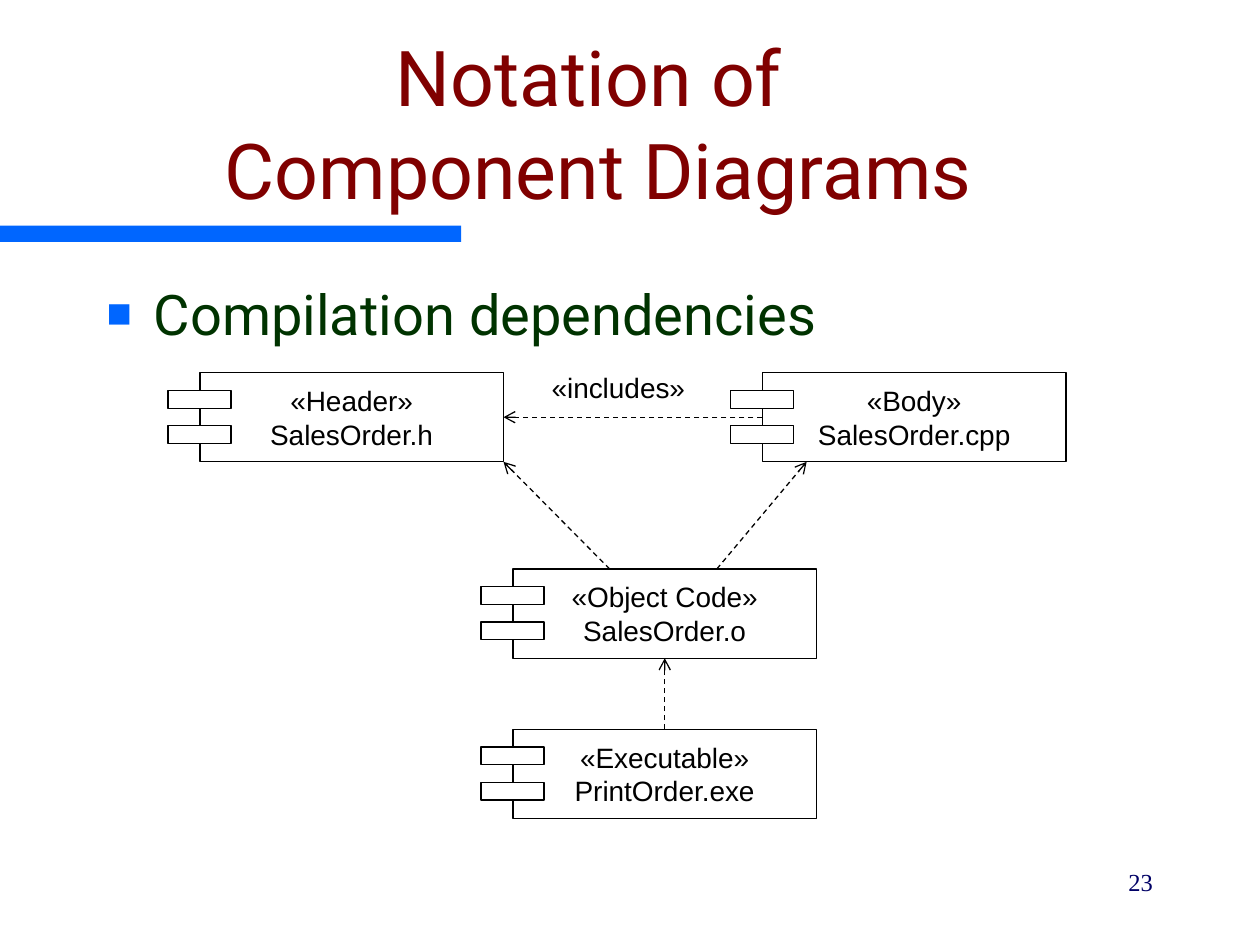
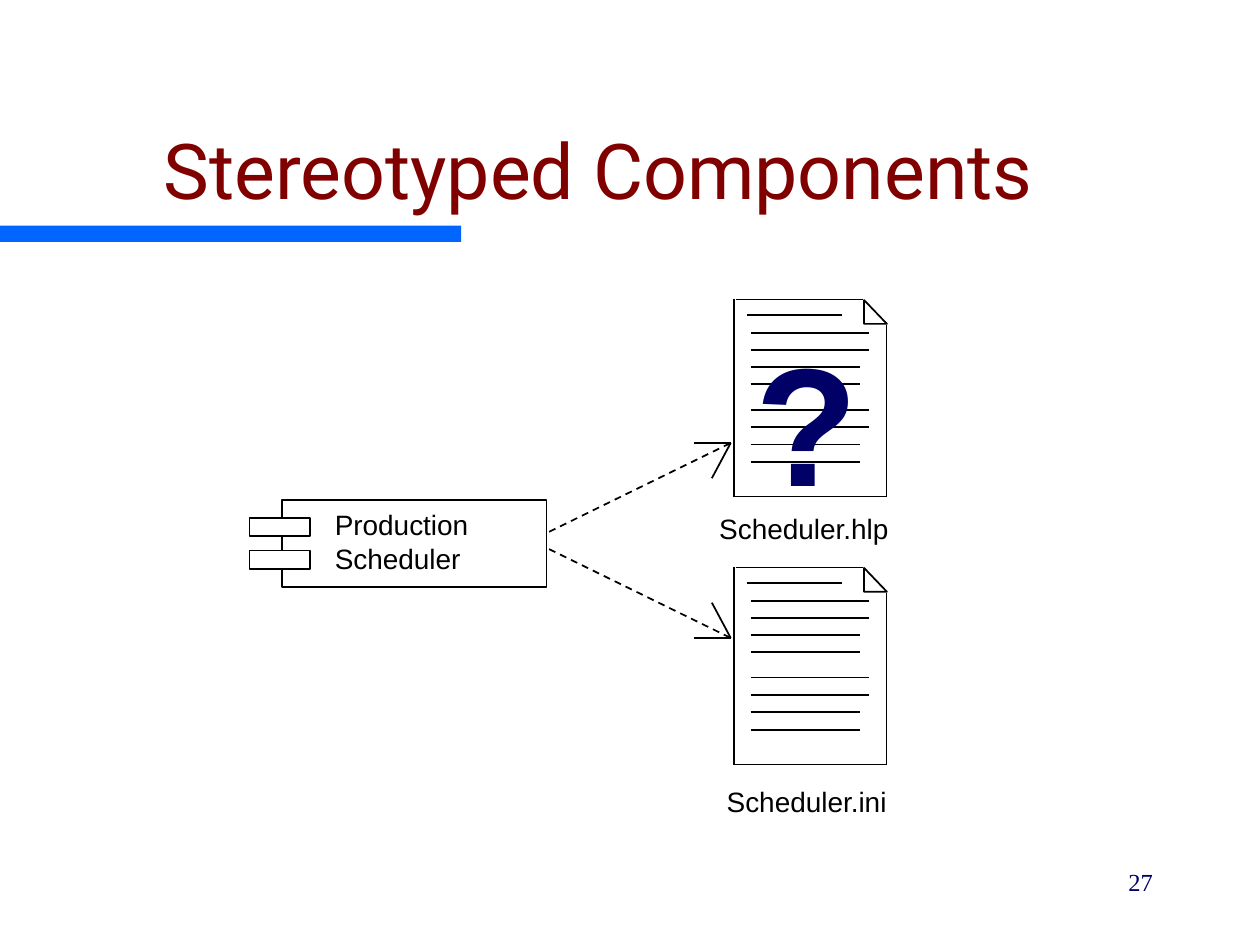
import pptx
import pptx.util
import pptx.dml.color
import pptx.enum.dml
import pptx.enum.shapes
import pptx.enum.text
import pptx.oxml.ns
import lxml.etree
from dataclasses import dataclass

Cm = pptx.util.Cm
Pt = pptx.util.Pt
Shape = pptx.enum.shapes.MSO_SHAPE
Align = pptx.enum.text.PP_ALIGN
Anchor = pptx.enum.text.MSO_ANCHOR
qn = pptx.oxml.ns.qn


@dataclass(frozen=True)
class Theme:
    paper: str = "FFFFFF"
    ink: str = "000000"
    accent: str = "0066FF"
    heading: str = "800000"
    body: str = "003300"
    navy: str = "000066"
    display_font: str = "Roboto"
    label_font: str = "Arial"
    number_font: str = "Times New Roman"
    heading_size: int = 44
    body_size: int = 32
    label_size: int = 16
    number_size: int = 14
    symbol_size: int = 96
    thin: float = 0.75
    medium: float = 1


THEME = Theme()

NOTATION = {"title": "Notation of \vComponent Diagrams", "number": "23"}
TOPIC = "Compilation dependencies"
COMPONENT_SIZE = (6.12, 1.8)
COMPONENT_TABS = {"inset": 0.64, "size": (1.27, 0.36), "drops": (0.36, 1.07)}
COMPONENTS = {
    "header": (4.03, 7.51, "«Header»\nSalesOrder.h"),
    "body": (15.37, 7.51, "«Body»\nSalesOrder.cpp"),
    "object": (10.34, 11.47, "«Object Code»\nSalesOrder.o"),
    "executable": (10.34, 14.7, "«Executable»\nPrintOrder.exe"),
}
JOINED_DEPENDENCIES = [("body", 1, "header", 3), ("executable", 0, "object", 2)]
SLANTED_DEPENDENCIES = [
    ((12.29, 11.47), (10.15, 9.31)),
    ((14.45, 11.47), (16.26, 9.31)),
]
INCLUDES = ("«includes»", (10.87, 7.34, 3.86, 0.94))

STEREOTYPED = {"title": "Stereotyped Components", "number": "27"}
SCHEDULER = (5.69, 10.08, 5.33, 1.75)
SCHEDULER_TABS = {"inset": 0.66, "size": (1.22, 0.37), "drops": (0.36, 1.02)}
DOCUMENT_ORIGINS = [(14.8, 6.02), (14.8, 11.42)]
DOCUMENT_EDGES = [
    (0, 0, 0, 4),
    (0.03, 0.02, 2.59, 0.02),
    (3.07, 0.54, 3.07, 4),
    (0, 3.99, 3.07, 3.99),
]
DOCUMENT_RULES = [
    (0.25, 2.18, 0.33),
    (0.33, 2.72, 0.69),
    (0.33, 2.72, 1.04),
    (0.33, 2.54, 1.38),
    (0.33, 2.54, 1.72),
    (0.33, 2.72, 2.24),
    (0.33, 2.72, 2.59),
    (0.33, 2.54, 2.94),
    (0.33, 2.54, 3.29),
]
HELP_SYMBOL = ("?", (14.99, 6.3, 2.57, 4.32))
SCHEDULER_LABELS = [
    ("Production\vScheduler", (6.5, 10.11, 5.26, 1.6)),
    ("Scheduler.hlp", (14.25, 10.19, 4.39, 0.91)),
    ("Scheduler.ini", (14.4, 15.7, 4.01, 1.6)),
]
USES = [(10.72, 8.93, 1), (11.07, 12.86, -1)]
USE_START, USE_TIP = 11.07, 14.73
ARROW_STROKES = [(-0.73, 0), (-0.38, 0.71)]


def rgb(color):
    return pptx.dml.color.RGBColor.from_string(color)


def write(frame, text, font, size, color, align=Align.LEFT, before=0, bold=False):
    frame.text = text
    for paragraph in frame.paragraphs:
        paragraph.alignment = align
        paragraph.space_before = Pt(before)
        for run in paragraph.runs:
            run.font.name = font
            run.font.size = Pt(size)
            run.font.bold = bold
            run.font.color.rgb = rgb(color)


def add_text(slide, box, text, font, size, color, wrap=True, anchor=Anchor.TOP, **style):
    frame = slide.shapes.add_textbox(*map(Cm, box)).text_frame
    frame.word_wrap = wrap
    frame.vertical_anchor = anchor
    write(frame, text, font, size, color, **style)
    return frame


def add_label(slide, text, box, before=0):
    add_text(slide, box, text, THEME.label_font, THEME.label_size, THEME.ink, before=before)


def add_block(slide, box, fill=THEME.paper, width=None, kind=Shape.RECTANGLE):
    block = slide.shapes.add_shape(kind, *map(Cm, box))
    block.shadow.inherit = False
    block.fill.solid()
    block.fill.fore_color.rgb = rgb(fill)
    if width is None:
        block.line.fill.background()
    else:
        block.line.color.rgb = rgb(THEME.ink)
        block.line.width = Pt(width)
    return block


def add_line(slide, start, end, width=THEME.medium, dashed=False, arrow=False):
    line = slide.shapes.add_connector(
        pptx.enum.shapes.MSO_CONNECTOR.STRAIGHT, *map(Cm, (*start, *end)))
    line.line.color.rgb = rgb(THEME.ink)
    line.line.width = Pt(width)
    if dashed:
        line.line.dash_style = pptx.enum.dml.MSO_LINE.DASH
    properties = line._element.spPr
    if arrow:
        lxml.etree.SubElement(properties.find(qn("a:ln")), qn("a:tailEnd"), type="arrow")
    lxml.etree.SubElement(properties, qn("a:effectLst"))
    return line


def add_component(slide, box, tabs, width, text=None):
    component = add_block(slide, box, width=width)
    if text:
        frame = component.text_frame
        frame.word_wrap = False
        frame.vertical_anchor = Anchor.MIDDLE
        write(frame, text, THEME.label_font, THEME.label_size, THEME.ink, Align.CENTER)
    for drop in tabs["drops"]:
        add_block(slide, (box[0] - tabs["inset"], box[1] + drop, *tabs["size"]), width=width)
    return component


def add_document(slide, left, top):
    add_block(slide, (left - 0.05, top - 0.04, 3.07, 3.94))
    rules = [(x1, y, x2, y) for x1, x2, y in DOCUMENT_RULES]
    for x1, y1, x2, y2 in DOCUMENT_EDGES + rules:
        add_line(slide, (left + x1, top + y1), (left + x2, top + y2))
    add_block(slide, (left + 2.62, top + 0.03, 0.46, 0.48),
              width=THEME.medium, kind=Shape.RIGHT_TRIANGLE)


def add_bullet(paragraph):
    properties = paragraph._p.get_or_add_pPr()
    properties.set("marL", str(Cm(0.95)))
    properties.set("indent", str(-Cm(0.95)))
    color = lxml.etree.SubElement(properties, qn("a:buClr"))
    lxml.etree.SubElement(color, qn("a:srgbClr"), val=THEME.accent)
    lxml.etree.SubElement(properties, qn("a:buSzPct"), val="75000")
    lxml.etree.SubElement(properties, qn("a:buFont"), typeface=THEME.label_font)
    lxml.etree.SubElement(properties, qn("a:buChar"), char="■")


def start_slide(deck, content):
    slide = deck.slides.add_slide(deck.slide_layouts[6])
    add_block(slide, (0, 4.55, 9.3, 0.33), fill=THEME.accent)
    add_text(slide, (0.64, 1.27, 22.86, 3.18), content["title"], THEME.display_font,
             THEME.heading_size, THEME.heading, anchor=Anchor.BOTTOM, align=Align.CENTER)
    add_text(slide, (18.21, 17.35, 5.28, 1.27), content["number"], THEME.number_font,
             THEME.number_size, THEME.navy, align=Align.RIGHT, before=8.8)
    return slide


def build_notation(deck):
    slide = start_slide(deck, NOTATION)
    topic = add_text(slide, (1.9, 5.51, 21.59, 11.43), TOPIC, THEME.display_font,
                     THEME.body_size, THEME.body, before=8)
    add_bullet(topic.paragraphs[0])
    components = {
        key: add_component(slide, (left, top, *COMPONENT_SIZE), COMPONENT_TABS, THEME.thin, text)
        for key, (left, top, text) in COMPONENTS.items()
    }
    for source, source_side, target, target_side in JOINED_DEPENDENCIES:
        dependency = add_line(slide, (0, 0), (0, 0), THEME.thin, dashed=True, arrow=True)
        dependency.begin_connect(components[source], source_side)
        dependency.end_connect(components[target], target_side)
    for start, end in SLANTED_DEPENDENCIES:
        add_line(slide, start, end, THEME.thin, dashed=True, arrow=True)
    add_label(slide, *INCLUDES)


def build_stereotyped(deck):
    slide = start_slide(deck, STEREOTYPED)
    for origin in DOCUMENT_ORIGINS:
        add_document(slide, *origin)
    symbol, symbol_box = HELP_SYMBOL
    add_text(slide, symbol_box, symbol, THEME.label_font, THEME.symbol_size, THEME.navy,
             wrap=False, bold=True)
    add_component(slide, SCHEDULER, SCHEDULER_TABS, THEME.medium)
    for text, box in SCHEDULER_LABELS:
        add_label(slide, text, box, before=10)
    for start_y, tip_y, direction in USES:
        tip = (USE_TIP, tip_y)
        add_line(slide, (USE_START, start_y), tip, dashed=True)
        for dx, dy in ARROW_STROKES:
            add_line(slide, tip, (USE_TIP + dx, tip_y + direction * dy))


def main():
    deck = pptx.Presentation()
    deck.slide_width = Cm(25.4)
    deck.slide_height = Cm(19.05)
    build_notation(deck)
    build_stereotyped(deck)
    deck.save("out.pptx")


if __name__ == "__main__":
    main()
